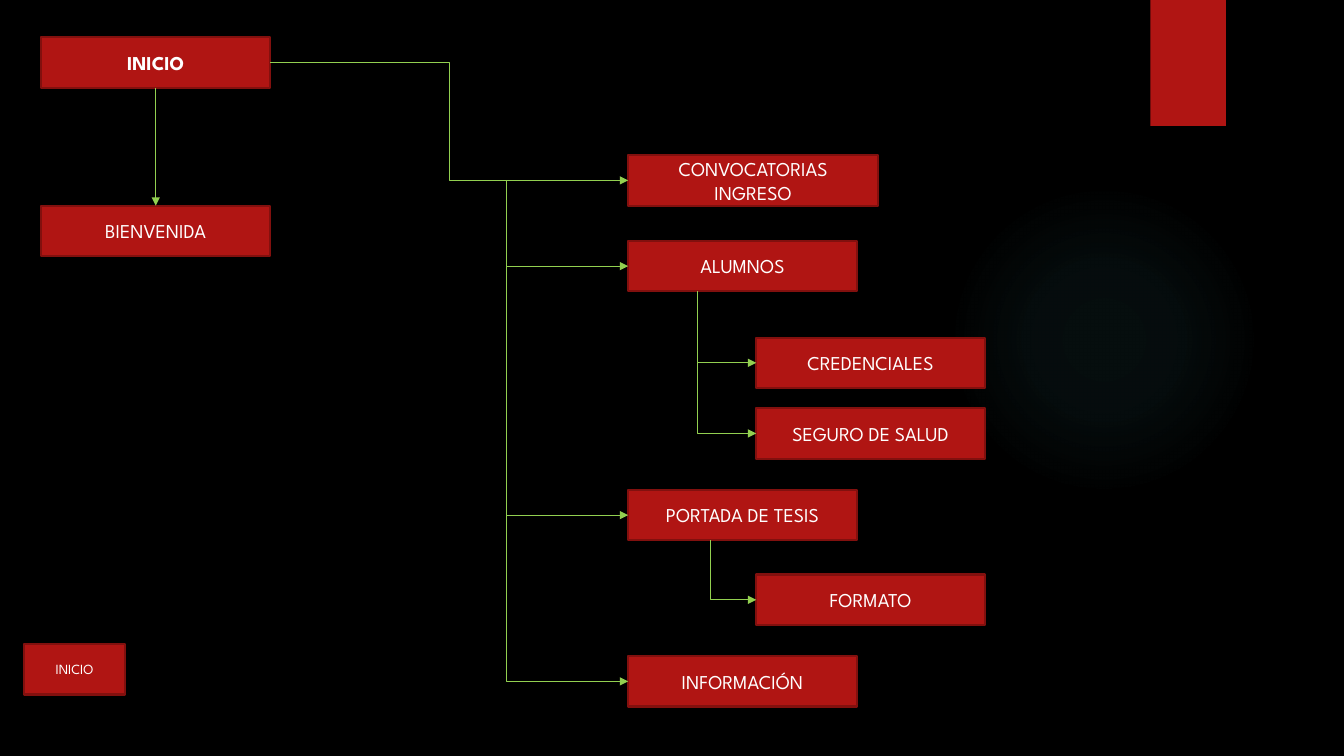
"""Build a site map slide: red page boxes joined by green arrows."""
from dataclasses import dataclass

from lxml import etree
from pptx import Presentation
from pptx import util as u
from pptx.dml.color import RGBColor
from pptx.enum import shapes, text
from pptx.oxml import parse_xml
from pptx.oxml.ns import nsdecls, qn

COLORS = {
    "background": "000000",
    "box": "B01513",
    "border": "82100E",
    "label": "FFFFFF",
    "arrow": "92D050",
    "glow": "50B9C1",
}
FONT = "League Spartan"
BOX_HEIGHT = 0.5
MAIN_X, SUB_X = 6.23, 7.5
TRUNK_X, FORK_X = 5.02, 4.46
ALUMNOS_X, TESIS_X = 6.92, 7.05


@dataclass
class Node:
    label: str
    left: float
    top: float
    width: float = 2.27
    size: int = 14
    bold: bool = False

    @property
    def middle(self) -> float:
        return self.top + BOX_HEIGHT / 2

    @property
    def bottom(self) -> float:
        return self.top + BOX_HEIGHT


@dataclass
class Step:
    x: float
    y: float
    target: Node
    bend: float = 0.5


@dataclass
class Drop:
    x: float
    y: float
    target: Node


START = Node("INICIO", 0.41, 0.37, bold=True)
WELCOME = Node("BIENVENIDA", 0.41, 2.04)
CALLS = Node("CONVOCATORIAS INGRESO", MAIN_X, 1.54, width=2.48)
STUDENTS = Node("ALUMNOS", MAIN_X, 2.39)
CARDS = Node("CREDENCIALES", SUB_X, 3.35)
INSURANCE = Node("SEGURO DE SALUD", SUB_X, 4.05)
THESIS = Node("PORTADA DE TESIS", MAIN_X, 4.86)
FORMAT = Node("FORMATO", SUB_X, 5.7)
INFORMATION = Node("INFORMACIÓN", MAIN_X, 6.51)
HOME_BUTTON = Node("INICIO", 0.24, 6.39, width=1, size=10)

NODES = [START, WELCOME, CALLS, STUDENTS, CARDS, INSURANCE, THESIS, FORMAT,
         INFORMATION, HOME_BUTTON]
STEPS = [
    Step(START.left + START.width, START.middle, CALLS),
    Step(FORK_X, CALLS.middle, STUDENTS, bend=0.319),
]
DROPS = [
    Drop(TRUNK_X, CALLS.middle, THESIS),
    Drop(TRUNK_X, 3.28, INFORMATION),
    Drop(ALUMNOS_X, STUDENTS.bottom, CARDS),
    Drop(ALUMNOS_X, STUDENTS.bottom, INSURANCE),
    Drop(TESIS_X, THESIS.bottom, FORMAT),
]


def color(name: str) -> RGBColor:
    return RGBColor.from_string(COLORS[name])


def add_plain_shape(page, kind, left: float, top: float, width: float, height: float):
    shape = page.shapes.add_shape(
        kind, u.Inches(left), u.Inches(top), u.Inches(width), u.Inches(height))
    shape.shadow.inherit = False
    shape.fill.solid()
    shape.fill.fore_color.rgb = color("box")
    shape.line.fill.background()
    return shape


def add_glow(page) -> None:
    glow = add_plain_shape(page, shapes.MSO_SHAPE.OVAL, 9.41, 1.83, 3.08, 3.08)
    stops = "".join(
        f'<a:gs pos="{position}000"><a:srgbClr val="{COLORS["glow"]}">'
        f'<a:alpha val="{alpha}000"/></a:srgbClr></a:gs>'
        for position, alpha in [(0, 7), (36, 6), (69, 0)])
    gradient = parse_xml(
        f'<a:gradFill {nsdecls("a")}><a:gsLst>{stops}</a:gsLst><a:path path="circle">'
        '<a:fillToRect l="50000" t="50000" r="50000" b="50000"/></a:path></a:gradFill>')
    properties = glow.element.spPr
    properties.replace(properties.find(qn("a:solidFill")), gradient)


def add_node(page, node: Node) -> None:
    box = add_plain_shape(page, shapes.MSO_SHAPE.RECTANGLE,
                          node.left, node.top, node.width, BOX_HEIGHT)
    box.line.color.rgb = color("border")
    box.line.width = u.Pt(1.5)
    frame = box.text_frame
    frame.word_wrap = True
    frame.vertical_anchor = text.MSO_ANCHOR.MIDDLE
    para = frame.paragraphs[0]
    para.text = node.label
    para.alignment = text.PP_ALIGN.CENTER
    para.font.name = FONT
    para.font.size = u.Pt(node.size)
    para.font.bold = node.bold
    para.font.color.rgb = color("label")


def add_arrow(page, kind, x1: float, y1: float, x2: float, y2: float):
    arrow = page.shapes.add_connector(
        kind, u.Inches(x1), u.Inches(y1), u.Inches(x2), u.Inches(y2))
    arrow.line.color.rgb = color("arrow")
    arrow.line.width = u.Pt(0.75)
    properties = arrow.element.spPr
    etree.SubElement(properties.find(qn("a:ln")), qn("a:tailEnd"), type="triangle")
    etree.SubElement(properties, qn("a:effectLst"))
    return arrow


def add_step(page, step: Step) -> None:
    arrow = add_arrow(page, shapes.MSO_CONNECTOR.ELBOW, step.x, step.y,
                      step.target.left, step.target.middle)
    guides = arrow.element.spPr.find(qn("a:prstGeom")).get_or_add_avLst()
    etree.SubElement(guides, qn("a:gd"), name="adj1",
                     fmla=f"val {round(step.bend * 100000)}")


def add_drop(page, drop: Drop) -> None:
    across = drop.target.left - drop.x
    down = drop.target.middle - drop.y
    left = drop.x + (across - down) / 2
    top = drop.y + (down - across) / 2
    arrow = add_arrow(page, shapes.MSO_CONNECTOR.ELBOW,
                      left, top, left + down, top + across)
    arrow.rotation = 270
    properties = arrow.element.spPr
    properties.find(qn("a:xfrm")).set("flipH", "1")
    properties.find(qn("a:prstGeom")).set("prst", "bentConnector2")


def main() -> None:
    deck = Presentation()
    deck.slide_width, deck.slide_height = u.Inches(13.33), u.Inches(7.5)
    page = deck.slides.add_slide(deck.slide_layouts[6])
    page.background.fill.solid()
    page.background.fill.fore_color.rgb = color("background")
    add_glow(page)
    add_plain_shape(page, shapes.MSO_SHAPE.RECTANGLE, 11.41, 0, 0.75, 1.25)
    for node in NODES:
        add_node(page, node)
    center = START.left + START.width / 2
    add_arrow(page, shapes.MSO_CONNECTOR.STRAIGHT,
              center, START.bottom, center, WELCOME.top)
    for step in STEPS:
        add_step(page, step)
    for drop in DROPS:
        add_drop(page, drop)
    deck.save("out.pptx")


if __name__ == "__main__":
    main()
